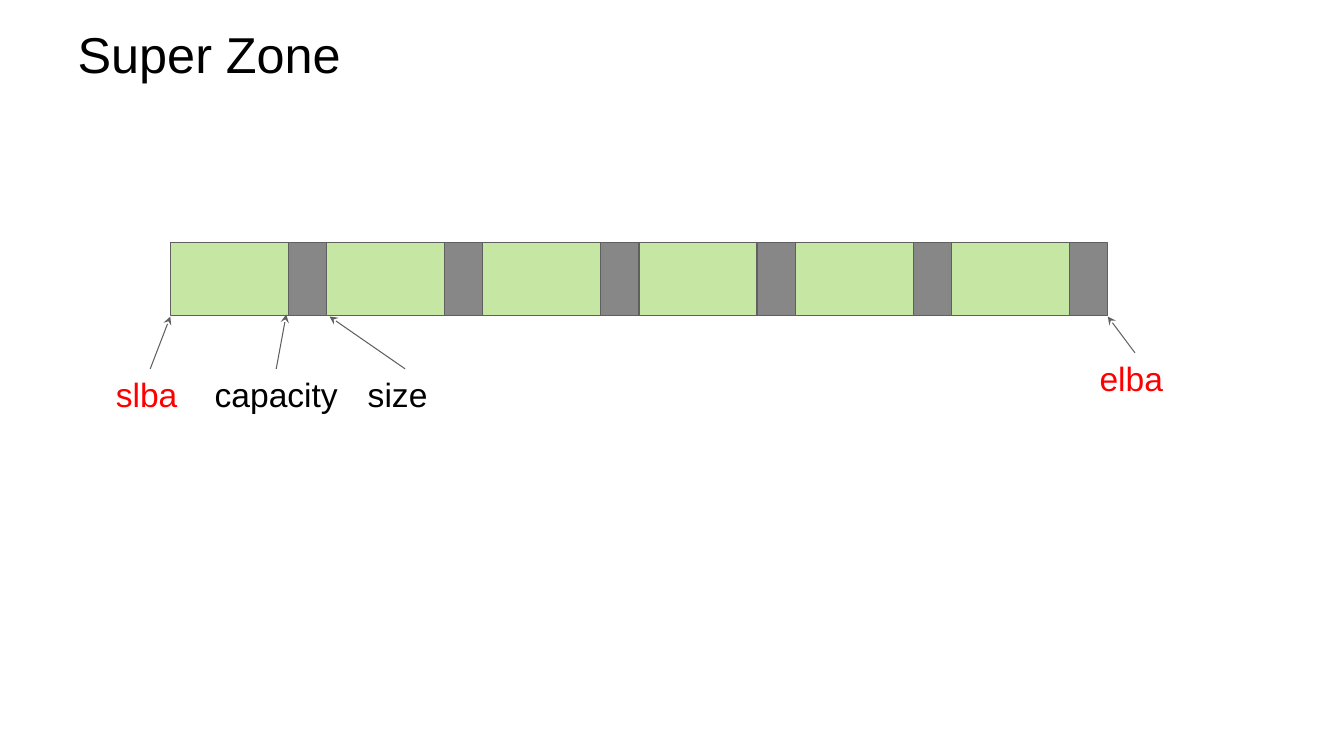
from dataclasses import dataclass

from pptx import Presentation
from pptx import util as u
from pptx.dml.color import RGBColor
from pptx.enum import shapes, text
from pptx.oxml import xmlchemy as xml


@dataclass(frozen=True)
class Theme:
    face: str = "Arial"
    head: int = 36
    label: int = 24
    ink: str = "000000"
    mark: str = "FF0000"
    used: str = "C6E7A4"
    gap: str = "878787"
    edge: str = "5F5F5F"
    rule: float = 0.75


THEME = Theme()

# Zone bar, in points
LEFT, TOP, HIGH = 121.68, 173.52, 51.84
CAP, REST, COUNT = 84.24, 27.36, 6
SIZE = CAP + REST

# Label text, colour, box (left, top, width), arrow start and end
LABELS = [
    ("slba", THEME.mark, (75.6, 263.5, 63.4), (107.3, 263.5), (LEFT, 226.1)),
    ("capacity", THEME.ink, (146.2, 263.5, 103), (197.3, 263.5), (204.5, 224.6)),
    ("size", THEME.ink, (255.6, 263.5, 67.7), (289.4, 263.5), (235.4, 226.1)),
    ("elba", THEME.mark, (778.3, 252, 63.4), (810.7, 252),
     (LEFT + COUNT * SIZE, 226.1)),
]


def apply(item, values):
    for name, value in values.items():
        setattr(item, name, value)


def place(shape, left, top, width, height):
    apply(shape, {"left": u.Pt(left), "top": u.Pt(top),
                  "width": u.Pt(width), "height": u.Pt(height)})


def write(shape, words, size, color, frame):
    box = shape.text_frame
    box.text = words
    apply(box, {"margin_left": u.Pt(7.2), "margin_right": u.Pt(7.2),
                "margin_top": u.Pt(3.6), "margin_bottom": u.Pt(3.6), **frame})
    line = box.paragraphs[0]
    line.alignment = text.PP_ALIGN.LEFT
    font = line.runs[0].font
    apply(font, {"name": THEME.face, "size": u.Pt(size)})
    font.color.rgb = RGBColor.from_string(color)


def stroke(line):
    line.color.rgb = RGBColor.from_string(THEME.edge)
    line.width = u.Pt(THEME.rule)


def add_block(slide, left, width, color):
    block = slide.shapes.add_shape(
        shapes.MSO_SHAPE.RECTANGLE, *map(u.Pt, (left, TOP, width, HIGH)))
    block.shadow.inherit = False
    block.fill.solid()
    block.fill.fore_color.rgb = RGBColor.from_string(color)
    stroke(block.line)


def add_label(slide, words, color, left, top, width):
    box = slide.shapes.add_textbox(*map(u.Pt, (left, top, width, 36)))
    write(box, words, THEME.label, color,
          {"word_wrap": True, "auto_size": text.MSO_AUTO_SIZE.SHAPE_TO_FIT_TEXT})


def add_arrow(slide, start, end):
    arrow = slide.shapes.add_connector(
        shapes.MSO_CONNECTOR.STRAIGHT, *map(u.Pt, start + end))
    stroke(arrow.line)
    tip = xml.OxmlElement("a:tailEnd")
    tip.set("type", "stealth")
    arrow.line._get_or_add_ln().append(tip)
    arrow._element.spPr.append(xml.OxmlElement("a:effectLst"))


def main():
    deck = Presentation()
    apply(deck, {"slide_width": u.Pt(960), "slide_height": u.Pt(540)})
    slide = deck.slides.add_slide(deck.slide_layouts[5])

    # Title
    title = slide.shapes.title
    place(title, 48.24, 15.12, 864, 46.08)
    write(title, "Super Zone", THEME.head, THEME.ink,
          {"vertical_anchor": text.MSO_ANCHOR.MIDDLE,
           "auto_size": text.MSO_AUTO_SIZE.NONE})

    # Zones: usable capacity, then the rest of the zone size
    for zone in range(COUNT):
        left = LEFT + zone * SIZE
        add_block(slide, left, CAP, THEME.used)
        add_block(slide, left + CAP, REST, THEME.gap)

    # Address labels with their arrows
    for words, color, box, start, end in LABELS:
        add_label(slide, words, color, *box)
        add_arrow(slide, start, end)

    deck.save("out.pptx")


if __name__ == "__main__":
    main()
